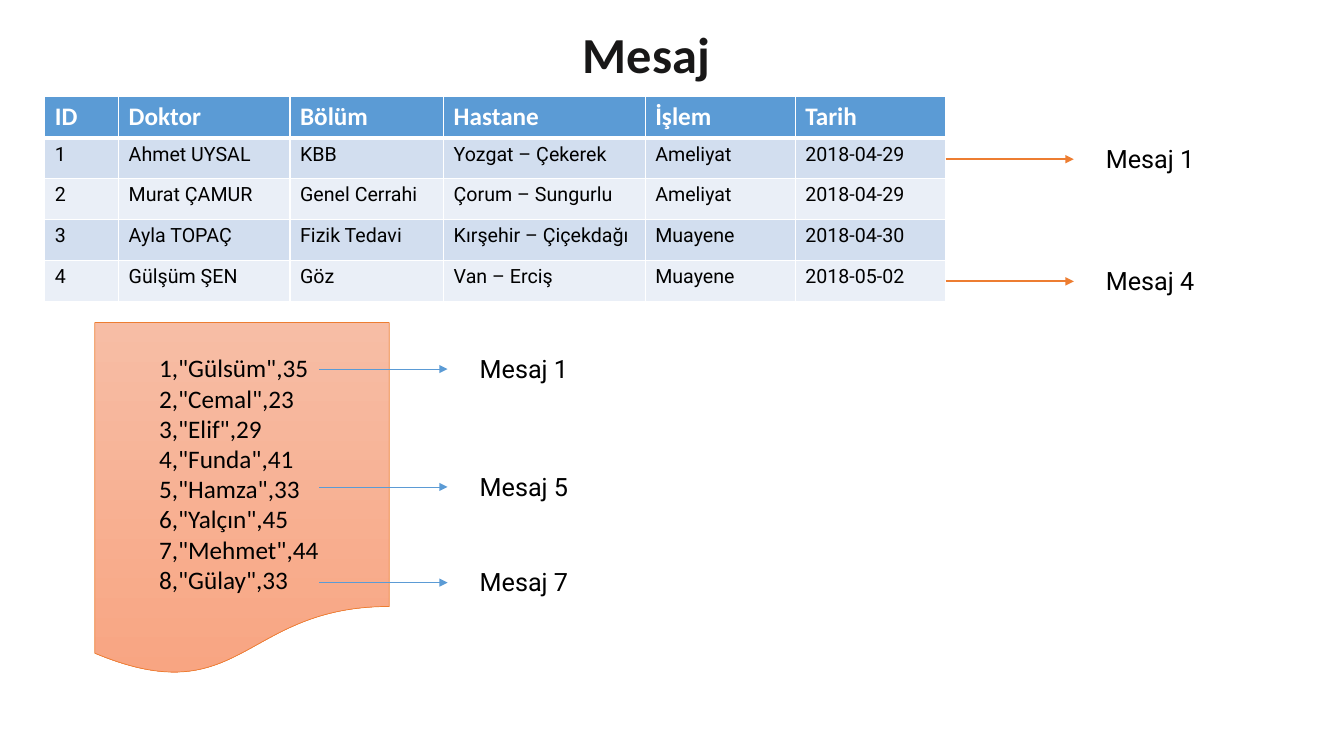
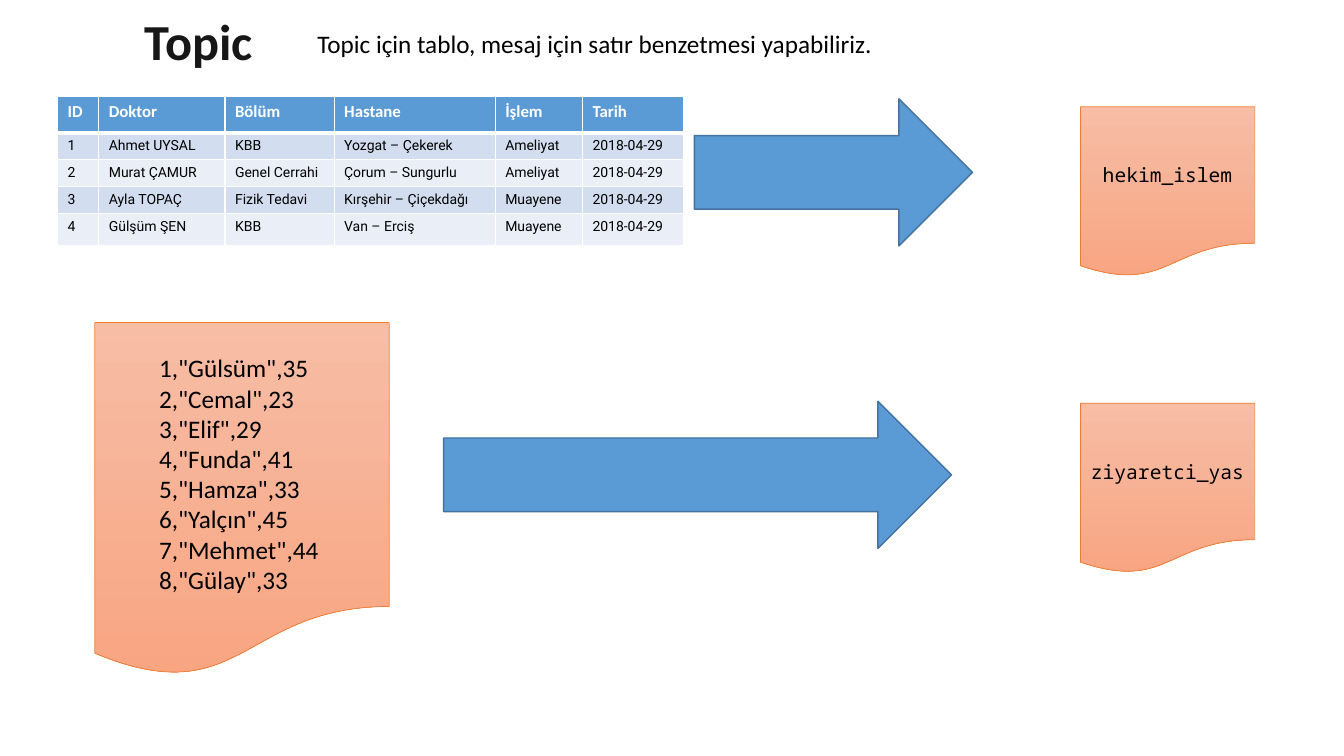
from lxml import etree
from pptx import Presentation
from pptx import util as u
from pptx.dml.color import RGBColor
from pptx.enum import shapes, text
from pptx.oxml import ns

WHITE = RGBColor(0xFF, 0xFF, 0xFF)
BLACK = RGBColor(0, 0, 0)
INK = RGBColor(0x18, 0x17, 0x17)
BLUE = RGBColor(0x5B, 0x9B, 0xD5)
DARK_BLUE = RGBColor(0x43, 0x73, 0x9E)
BANDS = (RGBColor(0xD2, 0xDE, 0xEF), RGBColor(0xEA, 0xEF, 0xF7))
ORANGE = RGBColor(0xED, 0x7D, 0x31)
PEACH = (RGBColor(0xF7, 0xBD, 0xA5), RGBColor(0xF8, 0xA5, 0x82))

HEADERS = ("ID", "Doktor", "Bölüm", "Hastane", "İşlem", "Tarih")
VISITORS = (("Gülsüm", 35), ("Cemal", 23), ("Elif", 29), ("Funda", 41),
            ("Hamza", 33), ("Yalçın", 45), ("Mehmet", 44), ("Gülay", 33))


def records(last_department, dates):
    rows = (
        ("1", "Ahmet UYSAL", "KBB", "Yozgat – Çekerek", "Ameliyat"),
        ("2", "Murat ÇAMUR", "Genel Cerrahi", "Çorum – Sungurlu", "Ameliyat"),
        ("3", "Ayla TOPAÇ", "Fizik Tedavi", "Kırşehir – Çiçekdağı", "Muayene"),
        ("4", "Gülşüm ŞEN", last_department, "Van – Erciş", "Muayene"),
    )
    return [HEADERS] + [row + (date,) for row, date in zip(rows, dates)]


class Deck:
    TITLE = {"name": "Calibri", "size": u.Pt(36), "bold": True, "color": INK}
    BODY = {"name": "Calibri", "size": u.Pt(18), "color": BLACK}
    LABEL = {"name": "Roboto", "size": u.Pt(18), "color": BLACK}
    CODE = {"name": "Noto Sans Mono", "size": u.Pt(14), "color": BLACK}

    def __init__(self):
        self.presentation = Presentation()
        self.presentation.slide_width = u.Cm(33.87)
        self.presentation.slide_height = u.Cm(19.05)
        self.slide = None

    def add_slide(self):
        self.slide = self.presentation.slides.add_slide(self.presentation.slide_layouts[6])

    def set_lines(self, frame, lines, style, **layout):
        for index, line in enumerate(lines):
            paragraph = frame.paragraphs[0] if index == 0 else frame.add_paragraph()
            for name, value in layout.items():
                setattr(paragraph, name, value)
            run = paragraph.add_run()
            run.text = line
            for name, value in style.items():
                if name == "color":
                    run.font.color.rgb = value
                else:
                    setattr(run.font, name, value)

    def text(self, box, lines, style, wrap=True, anchor=text.MSO_ANCHOR.TOP, **layout):
        frame = self.slide.shapes.add_textbox(*map(u.Cm, box)).text_frame
        frame.word_wrap = wrap
        frame.vertical_anchor = anchor
        self.set_lines(frame, lines, style, **layout)

    def title(self, box, words):
        self.text(box, [words], self.TITLE, anchor=text.MSO_ANCHOR.BOTTOM,
                  alignment=text.PP_ALIGN.CENTER, line_spacing=0.9)

    def shape(self, kind, box, line_color, line_width):
        shape = self.slide.shapes.add_shape(kind, *map(u.Cm, box))
        shape.shadow.inherit = False
        shape.line.color.rgb = line_color
        shape.line.width = u.Pt(line_width)
        return shape

    def document(self, box, name=None):
        shape = self.shape(shapes.MSO_SHAPE.FLOWCHART_DOCUMENT, box, ORANGE, 0.5)
        shape.fill.gradient()
        shape.fill.gradient_angle = 270
        for stop, color, position in zip(shape.fill.gradient_stops, PEACH, (0, 1)):
            stop.color.rgb = color
            stop.position = position
        if name:
            shape.text_frame.word_wrap = True
            shape.text_frame.vertical_anchor = text.MSO_ANCHOR.MIDDLE
            self.set_lines(shape.text_frame, [name], self.CODE, alignment=text.PP_ALIGN.CENTER)

    def visitor_file(self):
        self.document((2.39, 8.13, 7.42, 8.92))
        lines = [f'{number},"{name}",{age}'
                 for number, (name, age) in enumerate(VISITORS, 1)]
        self.text((3.76, 8.76, 4.65, 6.4), lines, self.BODY)

    def block_arrow(self, box):
        shape = self.shape(shapes.MSO_SHAPE.RIGHT_ARROW, box, DARK_BLUE, 1)
        shape.fill.solid()
        shape.fill.fore_color.rgb = BLUE

    def message(self, left, middle, words, color, width):
        right = left + 3.23
        connector = self.slide.shapes.add_connector(
            shapes.MSO_CONNECTOR.STRAIGHT, *map(u.Cm, (left, middle, right, middle)))
        connector.line.color.rgb = color
        connector.line.width = u.Pt(width)
        properties = connector._element.spPr
        etree.SubElement(properties.find(ns.qn("a:ln")), ns.qn("a:tailEnd"), type="triangle")
        etree.SubElement(properties, ns.qn("a:effectLst"))
        self.text((right + 0.56, middle - 0.53, 3, 1.02), [words], self.LABEL)

    def borders(self, cell, top, bottom):
        properties = cell._tc.get_or_add_tcPr()
        sides = (("lnL", 1), ("lnR", 1), ("lnT", top), ("lnB", bottom))
        for index, (side, width) in enumerate(sides):
            line = etree.Element(ns.qn(f"a:{side}"), w=str(int(u.Pt(width))))
            fill = etree.SubElement(line, ns.qn("a:solidFill"))
            etree.SubElement(fill, ns.qn("a:srgbClr"), val=str(WHITE))
            properties.insert(index, line)

    def table(self, left, top, widths, heights, rows, header_size, body_size):
        box = (left, top, sum(widths), sum(heights))
        table = self.slide.shapes.add_table(len(rows), len(widths), *map(u.Cm, box)).table
        table.horz_banding = False
        for column, width in zip(table.columns, widths):
            column.width = u.Cm(width)
        header = {"name": "Calibri", "size": u.Pt(header_size), "bold": True, "color": WHITE}
        body = {"name": "Roboto", "size": u.Pt(body_size), "bold": False, "color": BLACK}
        for index, (values, height) in enumerate(zip(rows, heights)):
            table.rows[index].height = u.Cm(height)
            for cell, value in zip(table.rows[index].cells, values):
                cell.fill.solid()
                cell.fill.fore_color.rgb = BANDS[(index - 1) % 2] if index else BLUE
                self.borders(cell, 3 if index == 1 else 1, 1 if index else 3)
                self.set_lines(cell.text_frame, [value], body if index else header)


def message_slide(deck):
    deck.add_slide()
    deck.title((9.8, 0.79, 12.98, 1.47), "Mesaj")
    rows = records("Göz", ("2018-04-29", "2018-04-29", "2018-04-30", "2018-05-02"))
    deck.table(1.13, 2.44, (1.86, 4.32, 3.87, 5.08, 3.78, 3.78), [1.03] * 5, rows, 18, 14)
    for middle, words in ((4.01, "Mesaj 1"), (7.09, "Mesaj 4")):
        deck.message(23.83, middle, words, ORANGE, 1.5)
    deck.visitor_file()
    for middle, words in ((9.3, "Mesaj 1"), (12.27, "Mesaj 5"), (14.68, "Mesaj 7")):
        deck.message(8.05, middle, words, BLUE, 0.5)


def topic_slide(deck):
    deck.add_slide()
    deck.title((1.57, 0.46, 6.88, 1.47), "Topic")
    rows = records("KBB", ["2018-04-29"] * 4)
    deck.table(1.45, 2.44, (1.04, 3.18, 2.75, 4.06, 2.2, 2.54),
               (0.91, 0.67, 0.67, 0.67, 0.81), rows, 12, 10)
    deck.visitor_file()
    deck.text((7.75, 0.58, 17.96, 1.02),
              ["Topic için tablo, mesaj için satır benzetmesi yapabiliriz."],
              deck.BODY, wrap=False)
    deck.block_arrow((17.5, 2.49, 7.01, 3.71))
    deck.block_arrow((11.18, 10.11, 12.8, 3.71))
    for top, name in ((2.69, "hekim_islem"), (10.16, "ziyaretci_yas")):
        deck.document((27.23, top, 4.39, 4.29), name)


def main():
    deck = Deck()
    message_slide(deck)
    topic_slide(deck)
    deck.presentation.save("out.pptx")


if __name__ == "__main__":
    main()
